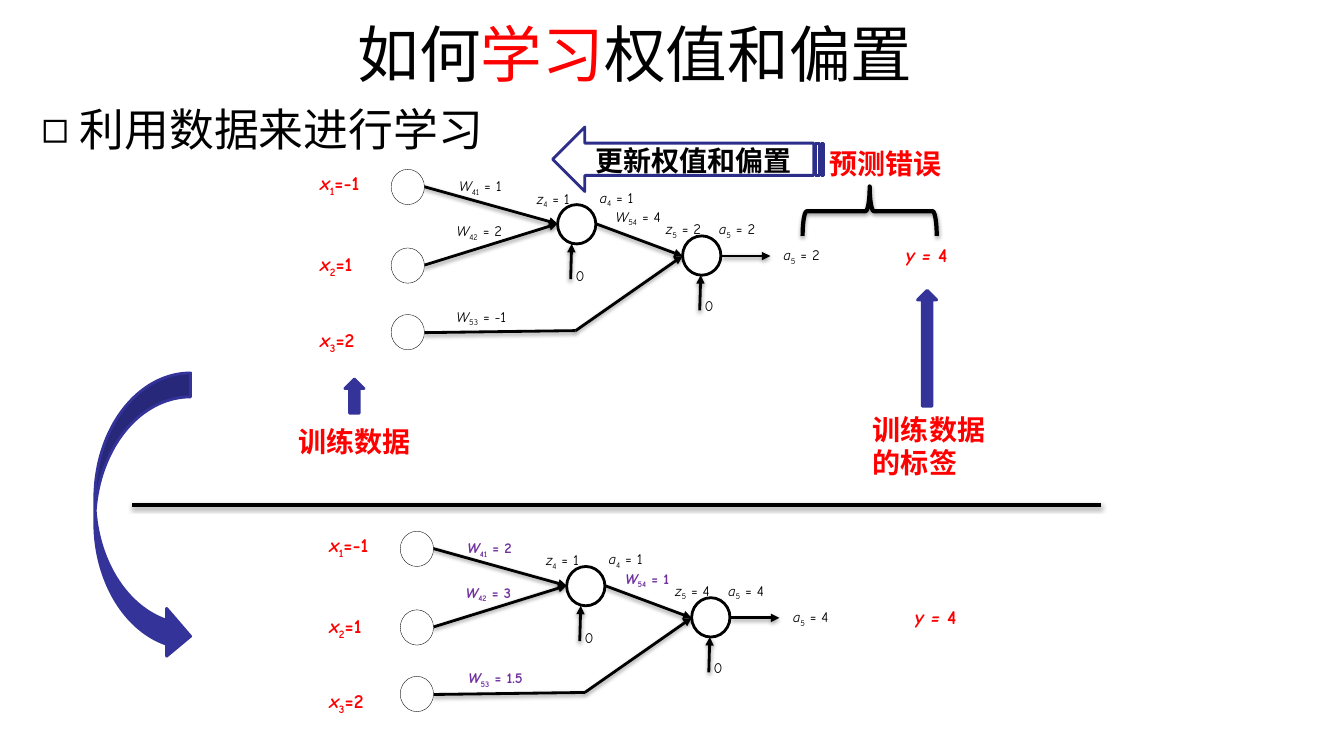
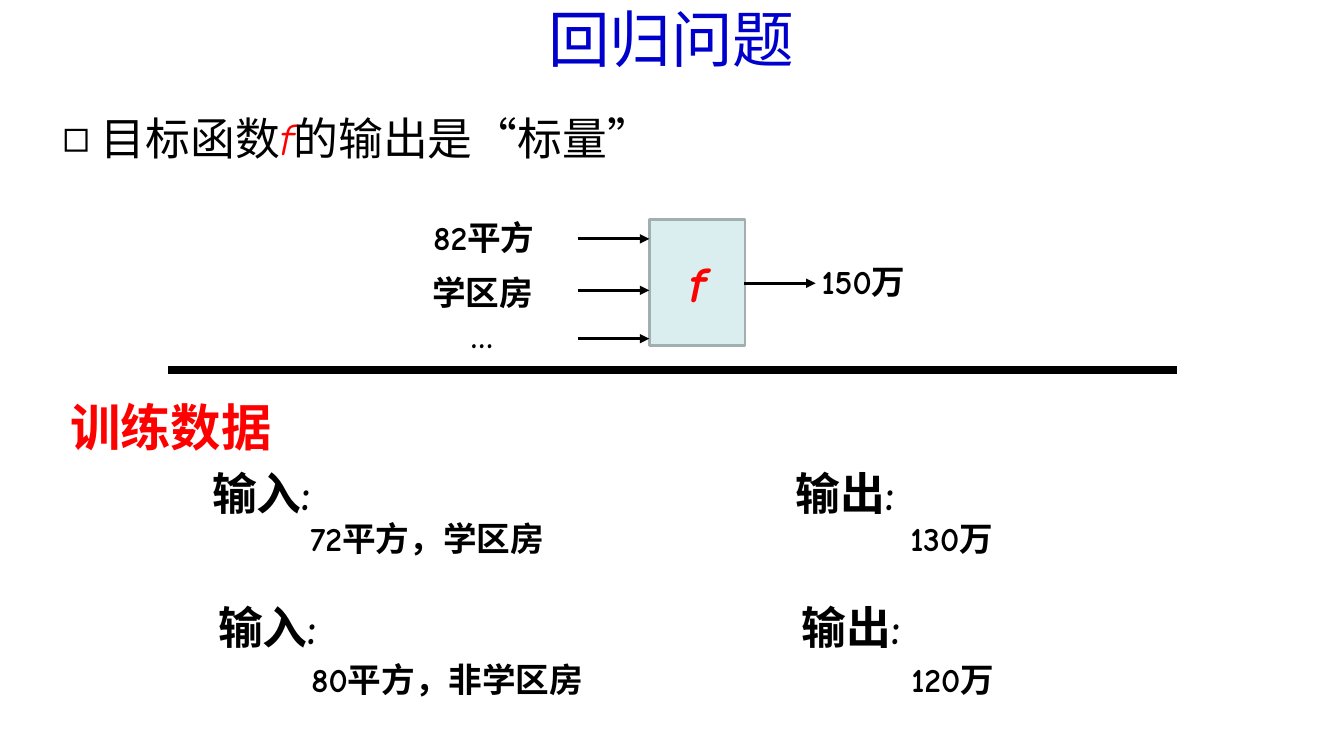
import pptx
import pptx.util
import pptx.dml.color
import pptx.enum.dml
import pptx.enum.lang
import pptx.enum.shapes
import pptx.enum.text
import pptx.oxml
import pptx.oxml.ns

PX = 9144  # 100 px to the inch
FONT = "Comic Neue"
HUES = {
    "ink": "000000", "red": "FF0000", "blue": "0000CC", "navy": "333399",
    "edge": "2D2D8A", "plum": "7030A0", "white": "FFFFFF",
    "pale": "DAEDEF", "grey": "A1AFB1",
}
KIND = pptx.enum.shapes.MSO_SHAPE
ALIGN = pptx.enum.text.PP_ALIGN
ANCHOR = pptx.enum.text.MSO_ANCHOR
LEFT, MID = ALIGN.LEFT, ALIGN.CENTER


def px(*nums):
    return [pptx.util.Emu(num * PX) for num in nums]


def tone(name):
    return pptx.dml.color.RGBColor.from_string(HUES[name])


def node(parent, tag, **attrs):
    item = pptx.oxml.ns.qn(tag)
    child = parent.makeelement(item, attrs)
    parent.append(child)
    return child


# ---- text ----
def say(frame, runs, size, hue="ink", bold=False, align=LEFT, lead=None):
    """Runs are (text, marks): i italic, _ subscript, r red."""
    par = frame.paragraphs[0]
    par.alignment = align
    par.space_before = pptx.util.Pt(0)
    if lead:
        par.line_spacing = lead
    for text, marks in runs:
        run = par.add_run()
        run.text = text
        font = run.font
        font.name, font.size = FONT, pptx.util.Pt(size)
        font.bold, font.italic = bold, "i" in marks
        font.color.rgb = tone("red" if "r" in marks else hue)
        font.language_id = pptx.enum.lang.MSO_LANGUAGE_ID.SIMPLIFIED_CHINESE
        if "_" in marks:
            run._r.get_or_add_rPr().set("baseline", "-25000")


def note(slide, box, runs, size, **style):
    frame = slide.shapes.add_textbox(*px(*box)).text_frame
    frame.word_wrap = True
    if isinstance(runs, str):
        runs = [(runs, "")]
    say(frame, runs, size, **style)


def term(name, sub, rest):
    return [(name, "i"), (sub, "_"), (rest, "")]


def hold(shape, box):
    shape.left, shape.top, shape.width, shape.height = px(*box)
    frame = shape.text_frame
    frame.word_wrap = True
    frame.auto_size = pptx.enum.text.MSO_AUTO_SIZE.NONE
    return frame


def title(slide, box, runs, hue="ink"):
    frame = hold(slide.shapes.title, box)
    frame.vertical_anchor = ANCHOR.MIDDLE
    say(frame, runs, 44, hue, align=MID)


def point(slide, box, runs, **style):
    frame = hold(slide.placeholders[1], box)
    props = frame.paragraphs[0]._p.get_or_add_pPr()
    props.set("marL", str(38 * PX))
    props.set("indent", str(-38 * PX))
    node(props, "a:buChar", char="◻")
    say(frame, runs, 32, **style)


# ---- shapes ----
def shade(shape, on):
    effects = node(shape._element.spPr, "a:effectLst")
    if on:
        cast = node(effects, "a:outerShdw", blurRad="39400", dist="20300",
                    dir="5400000", rotWithShape="0")
        black = node(cast, "a:srgbClr", val=HUES["ink"])
        node(black, "a:alpha", val="38000")


def line(slide, start, end, width=2, tip=True, cast=False):
    link = slide.shapes.add_connector(
        pptx.enum.shapes.MSO_CONNECTOR.STRAIGHT, *px(*start, *end))
    link.line.color.rgb = tone("ink")
    link.line.width = pptx.util.Pt(width)
    if tip:
        node(link.line._get_or_add_ln(), "a:tailEnd", type="triangle")
    shade(link, cast)


def form(slide, kind, box, fill, edge, width=2, turn=0):
    shape = slide.shapes.add_shape(kind, *px(*box))
    shape.rotation = turn
    if fill:
        shape.fill.solid()
        shape.fill.fore_color.rgb = tone(fill)
    else:
        shape.fill.background()
    shape.line.color.rgb = tone(edge)
    shape.line.width = pptx.util.Pt(width)
    if kind == KIND.LEFT_BRACE:
        shade(shape, True)
    else:
        shape.shadow.inherit = False
    return shape


# ---- slide 1 regions ----
def net(slide, left, top, loads, out, hue="ink", bold=False):
    """Small network: three inputs, two neurons, and their labels."""
    def at(x, y):
        return left + x, top + y

    # links and bias arrows
    for start, end, tip in (
            ((112, 20), (245, 57), True), ((113, 98), (245, 57), True),
            ((283, 57), (369, 89), True), ((408, 89), (456, 89), True),
            ((113, 165), (263, 163), False), ((263, 163), (369, 89), True),
            ((258, 112), (259, 77), True), ((386, 143), (387, 108), True)):
        line(slide, at(*start), at(*end), tip=tip, cast=True)

    # neurons and inputs
    for x, y in ((245, 38), (369, 69)):
        form(slide, KIND.OVAL, (*at(x, y), 38, 39), "white", "ink")
    for y in (3, 81, 147):
        form(slide, KIND.OVAL, (*at(80, y), 33, 35), "white", "ink", 0.25)

    # weights
    spots = (("41", 127, 6), ("42", 126, 50), ("53", 128, 135), ("54", 285, 36))
    for (sub, x, y), load in zip(spots, loads):
        wide = 80 if sub == "54" else max(83, 31 * len(load))
        note(slide, (*at(x, y), wide, 28), term("W", sub, " = " + load), 10.5,
             hue=hue, bold=bold, align=MID)

    # biases and neuron values
    for x, y in ((253, 95), (381, 125)):
        note(slide, (*at(x, y), 49, 28), "0", 10.5)
    for name, sub, value, x, y, wide in (
            ("z", "4", "1", 211, 18, 60), ("a", "4", "1", 270, 17, 67),
            ("z", "5", out, 334, 48, 72), ("a", "5", out, 386, 48, 74),
            ("a", "5", out, 450, 74, 74)):
        note(slide, (*at(x, y), wide, 28), term(name, sub, " = " + value),
             10.5, align=MID)

    # sample and its label
    for sub, value, y in (("1", "-1", 0), ("2", "1", 80), ("3", "2", 155)):
        note(slide, (*at(0, y), 81, 34), term("x", sub, "=" + value), 14,
             hue="red", bold=True)
    note(slide, (*at(574, 71), 74, 34), [("y = ", "i"), ("4", "")], 14,
         hue="red", bold=True, align=MID)


def tips(slide):
    """Red captions with the arrows that belong to them."""
    for text, box in (("训练数据", (286, 416, 140, 44)),
                      ("训练数据的标签", (856, 404, 154, 77)),
                      ("预测错误", (813, 140, 140, 44))):
        note(slide, box, text, 20, hue="red", bold=True)
    for box in ((342, 376, 19, 34), (910, 288, 19, 115)):
        form(slide, KIND.UP_ARROW, box, "navy", "navy")
    form(slide, KIND.LEFT_BRACE, (838, 143, 49, 133), None, "ink", 3, 90)
    form(slide, KIND.STRIPED_RIGHT_ARROW, (548, 126, 269, 64),
         "white", "edge", turn=180)
    note(slide, (581, 134, 260, 55), "更新权值和偏置", 20, bold=True, lead=1.1)


def learn(slide):
    title(slide, (331, 1, 598, 102),
          [("如何", ""), ("学习", "r"), ("权值和偏置", "")])
    point(slide, (31, 91, 475, 70), [("利用数据来进行学习", "")], lead=1.1)
    net(slide, 308, 165, ("1", "2", "-1", "4"), "2")
    tips(slide)
    net(slide, 317, 524, ("2", "3", "1.5", "1"), "4", "plum", True)
    line(slide, (131, 501), (1092, 501), 3, tip=False, cast=True)
    form(slide, KIND.CURVED_RIGHT_ARROW, (94, 370, 95, 285), "navy", "navy")


# ---- slide 2 regions ----
def model(slide, left, top):
    """Box f with its inputs and its output."""
    box = form(slide, KIND.RECTANGLE, (left, top, 95, 125), "pale", "grey")
    box.text_frame.vertical_anchor = ANCHOR.MIDDLE
    say(box.text_frame, [("f", "i")], 36, "red", True, MID)
    for text, x, y, wide, align in (
            ("82平方", -224, -8, 147, LEFT), ("学区房", -225, 47, 136, LEFT),
            ("…", -208, 89, 84, MID), ("150万", 161, 36, 123, LEFT)):
        note(slide, (left + x, top + y, wide, 51), text, 24,
             bold=True, align=align)
    for x, y in ((-71, 19), (-71, 70), (-71, 118), (94, 63)):
        line(slide, (left + x, top + y), (left + x + 71, top + y), 2.25)


def pair(slide, left, top, drop, shift, given, found):
    """One training sample: input on the left, output on the right."""
    for x, head, text in ((left, "输入:", given), (left + 579, "输出:", found)):
        note(slide, (x, top, 179, 64), head, 32, bold=True, align=MID)
        side = 298 if x == left else 893
        note(slide, (side + shift, top + drop, 303, 51), text, 24, bold=True)


def regress(slide):
    title(slide, (355, 0, 622, 75), [("回归问题", "")], "blue")
    point(slide, (34, 105, 641, 64),
          [("目标函数", ""), ("f", "ir"), ("的输出是“标量”", "")], align=MID)
    model(slide, 644, 218)
    line(slide, (167, 367), (1167, 367), 6, tip=False)
    note(slide, (25, 388, 289, 71), "训练数据", 36, hue="red", bold=True,
         align=MID)
    pair(slide, 170, 457, 52, 0, "72平方，学区房", "130万")
    pair(slide, 176, 590, 59, 1, "80平方，非学区房", "120万")


def main():
    deck = pptx.Presentation()
    deck.slide_width, deck.slide_height = px(1333, 750)
    for build in (learn, regress):
        build(deck.slides.add_slide(deck.slide_layouts[1]))
    deck.save("out.pptx")


if __name__ == "__main__":
    main()
